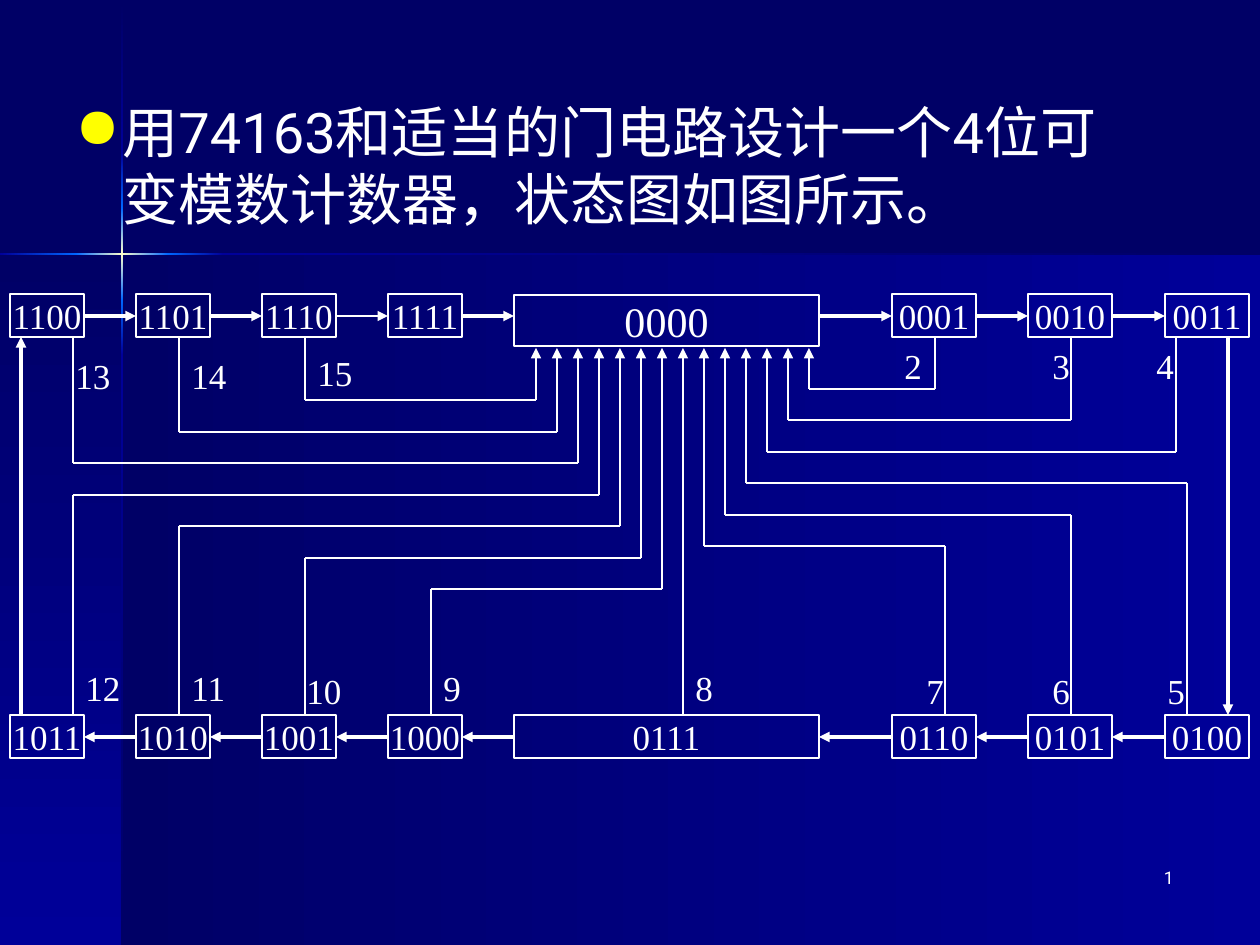
from dataclasses import dataclass
from itertools import pairwise

from lxml.etree import SubElement
from pptx import Presentation
from pptx.dml.color import RGBColor
from pptx.enum.shapes import MSO_CONNECTOR as CONNECTOR, MSO_SHAPE as SHAPE
from pptx.enum.text import MSO_ANCHOR as ANCHOR, PP_ALIGN as ALIGN
from pptx.oxml.ns import qn
from pptx.util import Emu, Pt

PX_PER_INCH = 126


def px(length):
    return Emu(round(length * 914400 / PX_PER_INCH))


@dataclass(frozen=True)
class Theme:
    night: str = "000066"
    royal: str = "000099"
    sky: str = "0066FF"
    cream: str = "FFFFCC"
    ink: str = "FFFFFF"
    bullet: str = "FFFF00"
    text_font: str = "Roboto"
    state_font: str = "Times New Roman"
    body: int = 32
    large: int = 24
    state: int = 20
    number: int = 10
    thin: float = 0.75
    thick: float = 2


class Painter:
    def __init__(self, slide, theme):
        self.slide = slide
        self.theme = theme

    def background(self, color):
        fill = self.slide.background.fill
        fill.solid()
        fill.fore_color.rgb = RGBColor.from_string(color)

    def panel(self, x, y, width, height, colors, vertical=False):
        """Rectangle with evenly spaced gradient stops."""
        shape = self.slide.shapes.add_shape(
            SHAPE.RECTANGLE, px(x), px(y), px(width), px(height))
        shape.shadow.inherit = False
        shape.line.fill.background()
        shape.fill.gradient()
        shape.fill.gradient_angle = 270 if vertical else 0
        stops = next(shape._element.iter(qn("a:gsLst")))
        for stop in list(stops):
            stops.remove(stop)
        for index, color in enumerate(colors):
            position = 100000 * index // (len(colors) - 1)
            stop = SubElement(stops, qn("a:gs"), pos=str(position))
            SubElement(stop, qn("a:srgbClr"), val=color)

    def fill_frame(self, frame, text, size, font, align):
        frame.word_wrap = True
        paragraph = frame.paragraphs[0]
        paragraph.alignment = align
        run = paragraph.add_run()
        run.text = text
        run.font.size = Pt(size)
        run.font.name = font
        run.font.color.rgb = RGBColor.from_string(self.theme.ink)
        return paragraph

    def text(self, x, y, width, height, text, size, font, align=ALIGN.LEFT):
        box = self.slide.shapes.add_textbox(px(x), px(y), px(width), px(height))
        return self.fill_frame(box.text_frame, text, size, font, align)

    def bullet_text(self, x, y, width, height, text, indent):
        paragraph = self.text(x, y, width, height, text,
                              self.theme.body, self.theme.text_font)
        properties = paragraph._p.get_or_add_pPr()
        properties.set("marL", str(px(indent)))
        properties.set("indent", str(-px(indent)))
        color = SubElement(properties, qn("a:buClr"))
        SubElement(color, qn("a:srgbClr"), val=self.theme.bullet)
        SubElement(properties, qn("a:buChar"), char="●")

    def state(self, x, y, width, height, code, size):
        shape = self.slide.shapes.add_shape(
            SHAPE.RECTANGLE, px(x), px(y), px(width), px(height))
        shape.shadow.inherit = False
        shape.fill.background()
        shape.line.color.rgb = RGBColor.from_string(self.theme.ink)
        shape.line.width = Pt(self.theme.thin)
        frame = shape.text_frame
        frame.margin_left = frame.margin_right = 0
        frame.margin_top = frame.margin_bottom = 0
        frame.vertical_anchor = ANCHOR.MIDDLE
        self.fill_frame(frame, code, size, self.theme.state_font, ALIGN.CENTER)

    def line(self, start, end, weight, arrow=False):
        connector = self.slide.shapes.add_connector(
            CONNECTOR.STRAIGHT, *map(px, start + end))
        connector.line.color.rgb = RGBColor.from_string(self.theme.ink)
        connector.line.width = Pt(weight)
        properties = connector._element.spPr
        if arrow:
            SubElement(properties.find(qn("a:ln")), qn("a:tailEnd"), type="triangle")
        SubElement(properties, qn("a:effectLst"))

    def route(self, points, weight):
        """Chain of straight lines with an arrowhead at the last point."""
        for start, end in pairwise(points):
            self.line(start, end, weight, arrow=end == points[-1])


# Left edge and width of each column of states
COLUMNS = ([(10 + 126 * i, 74) for i in range(4)] + [(514, 305)]
           + [(892 + round(136.5 * i), 84) for i in range(3)])
TOP_CODES = ["1100", "1101", "1110", "1111", "0000", "0001", "0010", "0011"]
BOTTOM_CODES = ["1011", "1010", "1001", "1000", "0111", "0110", "0101", "0100"]
TOP, BOTTOM, STATE_HEIGHT = 294, 715, 43
TOP_EDGE = TOP + STATE_HEIGHT
CENTER = 4

# Modulus: x where its route leaves a state, then label left, top and width
MODULI = {
    2: (935, 892, 338, 53), 3: (1071, 1040, 338, 53),
    4: (1176, 1144, 338, 53), 5: (1187, 1155, 663, 53),
    6: (1071, 1040, 663, 53), 7: (945, 914, 663, 53),
    8: (683, 683, 660, 53), 9: (431, 431, 660, 53),
    10: (305, 294, 663, 63), 11: (179, 179, 660, 63),
    12: (73, 73, 660, 73), 13: (73, 63, 348, 73),
    14: (179, 179, 348, 94), 15: (305, 305, 345, 84),
}


def draw_backdrop(painter):
    theme = painter.theme
    fade = (theme.night, theme.royal)
    brighten = (theme.royal, theme.sky)
    glow = (theme.sky, theme.cream, theme.sky)
    painter.background(theme.night)
    painter.panel(122, 254, 1138, 691, fade)
    painter.panel(0, 254, 122, 691, fade, vertical=True)
    # Crossing beams of light
    for y, height, colors in ((1, 151, fade), (355, 590, fade[::-1]),
                              (300, 55, brighten[::-1]), (152, 56, brighten),
                              (208, 92, glow)):
        painter.panel(121, y, 2, height, colors, vertical=True)
    for x, width, colors in ((223, 1037, fade[::-1]), (0, 77, brighten),
                             (168, 55, brighten[::-1]), (76, 92, glow)):
        painter.panel(x, 253, width, 2, colors)


def draw_states(painter):
    theme = painter.theme
    for index, (x, width) in enumerate(COLUMNS):
        if index == CENTER:
            painter.state(x, 295, width, 51, TOP_CODES[index], theme.large)
        else:
            painter.state(x, TOP, width, STATE_HEIGHT, TOP_CODES[index], theme.state)
        painter.state(x, BOTTOM, width, STATE_HEIGHT, BOTTOM_CODES[index], theme.state)


def draw_cycle(painter):
    theme = painter.theme
    for index, ((x, width), (next_x, _)) in enumerate(pairwise(COLUMNS)):
        weight = theme.thin if index == 2 else theme.thick
        painter.line((x + width, 316), (next_x, 316), weight, arrow=True)
        painter.line((next_x, 737), (x + width, 737), theme.thick, arrow=True)
    painter.line((1228, TOP_EDGE), (1228, BOTTOM), theme.thick, arrow=True)
    painter.line((21, BOTTOM), (21, TOP_EDGE), theme.thick, arrow=True)


def draw_resets(painter):
    theme = painter.theme
    for modulus, (x, label_x, label_y, label_width) in MODULI.items():
        entry_x = 809 - 21 * (modulus - 2)
        start = (x, TOP_EDGE if modulus <= 4 or modulus >= 13 else BOTTOM)
        end = (entry_x, 348)
        if modulus == 8:
            points = [start, end]
        else:
            turn_y = (389 + 63 * (modulus - 2) // 2 if modulus < 8
                      else 589 - 63 * (modulus - 9) // 2)
            points = [start, (x, turn_y), (entry_x, turn_y), end]
        painter.route(points, theme.thin)
        painter.text(label_x, label_y, label_width, 54, str(modulus),
                     theme.state, theme.state_font)


def main():
    presentation = Presentation()
    presentation.slide_width, presentation.slide_height = px(1260), px(945)
    slide = presentation.slides.add_slide(presentation.slide_layouts[6])
    theme = Theme()
    painter = Painter(slide, theme)

    draw_backdrop(painter)
    # Page number and task
    painter.text(924, 861, 262, 63, "1", theme.number, theme.text_font, ALIGN.RIGHT)
    painter.bullet_text(63, 91, 1092, 640,
                        "用74163和适当的门电路设计一个4位可变模数计数器，状态图如图所示。",
                        indent=47)
    # State diagram
    draw_states(painter)
    draw_cycle(painter)
    draw_resets(painter)
    presentation.save("out.pptx")


if __name__ == "__main__":
    main()
